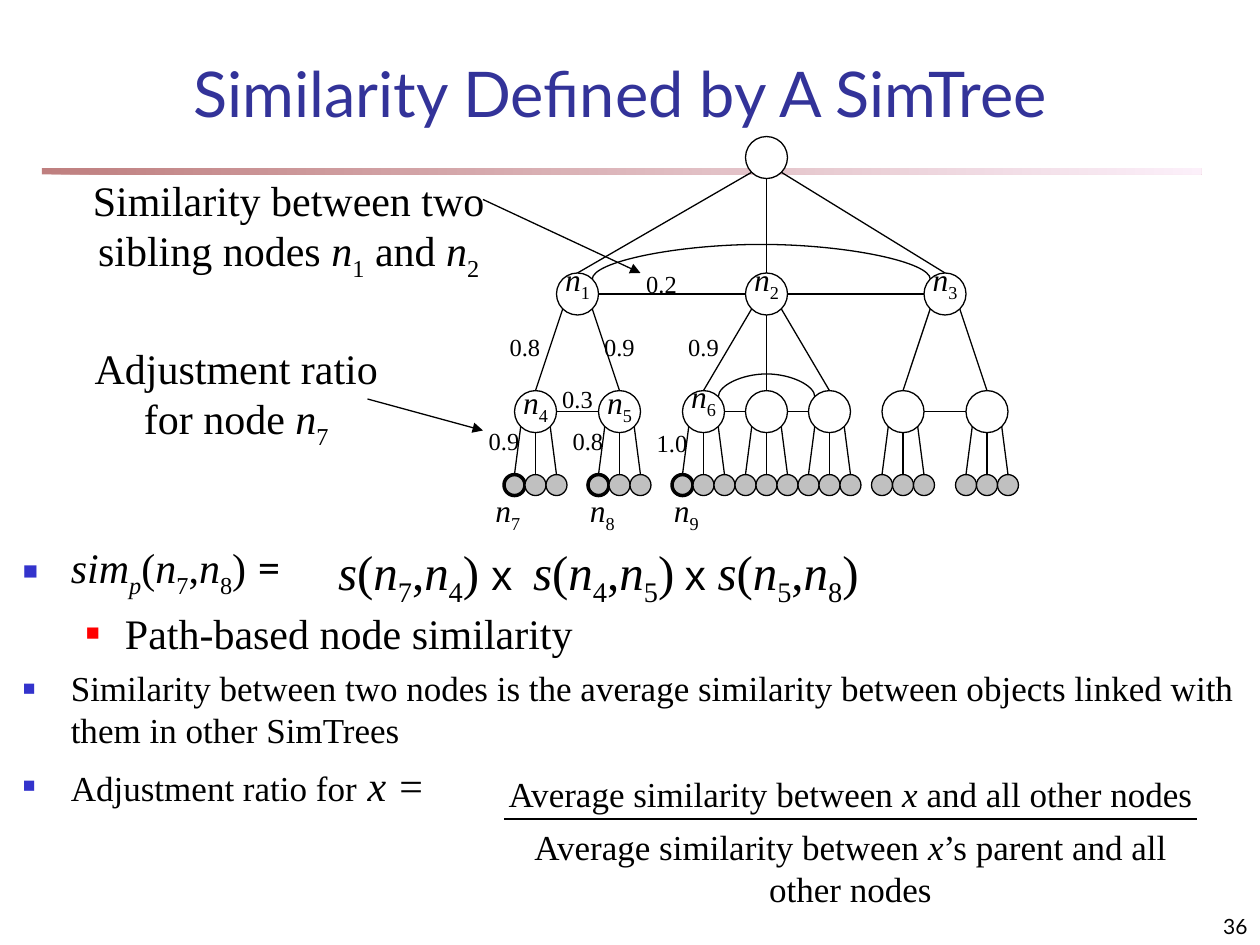
from lxml import etree
from pptx import Presentation, util as u
from pptx.dml.color import RGBColor
from pptx.enum import shapes, text
from pptx.oxml import ns

SERIF, SANS = "Times New Roman", "Lato"
LEFT, CENTER, RIGHT = text.PP_ALIGN.LEFT, text.PP_ALIGN.CENTER, text.PP_ALIGN.RIGHT
TOP, BOTTOM = text.MSO_ANCHOR.TOP, text.MSO_ANCHOR.BOTTOM

deck = Presentation()
deck.slide_width, deck.slide_height = u.Inches(10), u.Inches(7.5)
slide = deck.slides.add_slide(deck.slide_layouts[6])
# The slide is a grid of 120 columns by 90 rows with square cells
CELL = deck.slide_width / 120


def paint(fill, color):
    fill.solid()
    fill.fore_color.rgb = RGBColor.from_string(color)


def write(paragraph, markup, size=20, font=SERIF, color="000000", align=LEFT,
          alt=(SANS, 24)):
    """Markup: / toggles italic, _ toggles subscript, ~ toggles the alt font."""
    paragraph.alignment = align
    on, piece = {"/": False, "_": False, "~": False}, ""
    for char in markup + "/":
        if char not in on:
            piece += char
            continue
        if piece:
            run = paragraph.add_run()
            run.text = piece
            run.font.name, points = alt if on["~"] else (font, size)
            run.font.size = u.Pt(points)
            run.font.italic = on["/"]
            paint(run.font.fill, color)
            if on["_"]:
                run._r.get_or_add_rPr().set("baseline", "-25000")
        on[char], piece = not on[char], ""


# Gradient rule under the title
rule = slide.shapes.add_shape(shapes.MSO_SHAPE.RECTANGLE,
                              *[int(v * CELL) for v in (4, 16, 110.4, 0.6)])
rule.shadow.inherit = False
rule.line.fill.background()
rule.fill.gradient()
rule.fill.gradient_angle = 0
for stop, position, color in zip(rule.fill.gradient_stops, (0, 1), ("800000", "FAE2F6")):
    stop.position = position
    stop.color.rgb = RGBColor.from_string(color)
for rgb in rule._element.spPr.iter(ns.qn("a:srgbClr")):
    etree.SubElement(rgb, ns.qn("a:alpha"), val="50000")

# Tree: centre column of each node, its label, and the columns of its children
ROOT, MIDDLE, LOWER, LEAF = 15, 28, 39.2, 46.2  # centre rows
middle_nodes = {55: "/n/_1_", 73: "/n/_2_", 90: "/n/_3_"}
lower_nodes = {51: "/n/_4_", 59: "/n/_5_", 67: "/n/_6_", 73: "", 79: "", 86: "", 94: ""}
families = {55: (51, 59), 73: (67, 73, 79), 90: (86, 94)}
R, LEAF_R, DIAGONAL = 2, 1, 1.4

nodes = [(73, ROOT, R, "", 0.05)]
nodes += [(x, MIDDLE, R, label, 0.05) for x, label in middle_nodes.items()]
nodes += [(x, LOWER, R, label, 0 if x < 60 else 0.05) for x, label in lower_nodes.items()]
nodes += [(x + dx, LEAF, LEAF_R, "", 0.05) for x in lower_nodes for dx in (-2, 0, 2)]
bold_leaves = (49, 57, 65)

# Edges from every parent to its children
branches = [(73, ROOT, x, MIDDLE - R) for x in middle_nodes]
branches += [(x, MIDDLE, child, LOWER - R) for x in families for child in families[x]]
branches += [(x, LOWER, x + dx, LEAF - LEAF_R) for x in lower_nodes for dx in (-2, 0, 2)]
lines = []
for x, y, child_x, child_y in branches:
    side = (child_x > x) - (child_x < x)
    lines.append((x + side * DIAGONAL, y + (DIAGONAL if side else R), child_x, child_y, False))

# Links between neighbouring siblings
for row, siblings in [(MIDDLE, tuple(middle_nodes))] + [(LOWER, f) for f in families.values()]:
    lines += [(a + R, row, b - R, row, False) for a, b in zip(siblings, siblings[1:])]

lines += [(46, 19, 61, 26, True), (35, 38, 46, 41, True)]  # callout arrows
lines += [(48, 78, 114, 78, False)]  # fraction bar

# Arcs between outer siblings: a thin curved connector turned a quarter
THIN = 0.02
arcs = {}
for left, right, row, depth in [(55, 90, MIDDLE, 3.5), (67, 79, LOWER, 2.3)]:
    middle, half = (left + right) / 2, (right - left) / 2 - DIAGONAL
    y = row - DIAGONAL
    arc = (middle, y - half, middle + THIN, y + half, False)
    arcs[arc] = depth

for line in lines + list(arcs):
    kind = shapes.MSO_CONNECTOR.CURVE if line in arcs else shapes.MSO_CONNECTOR.STRAIGHT
    connector = slide.shapes.add_connector(kind, *[round(v * CELL) for v in line[:4]])
    paint(connector.line.fill, "000000")
    connector.line.width = u.Pt(0.75)
    properties = connector._element.spPr
    if line[4]:
        etree.SubElement(connector.line._get_or_add_ln(), ns.qn("a:tailEnd"), type="triangle")
    if line in arcs:
        frame = properties.find(ns.qn("a:xfrm"))
        frame.set("rot", "5400000")
        frame.set("flipV", "1")
        guides = properties.find(ns.qn("a:prstGeom")).find(ns.qn("a:avLst"))
        etree.SubElement(guides, ns.qn("a:gd"), name="adj1",
                         fmla=f"val {round(-arcs[line] / THIN * 100000)}")
    etree.SubElement(properties, ns.qn("a:effectLst"))

# Nodes
for x, y, radius, label, inset in nodes:
    node = slide.shapes.add_shape(shapes.MSO_SHAPE.OVAL, *[
        round(v * CELL) for v in (x - radius, y - radius, 2 * radius, 2 * radius)])
    node.shadow.inherit = False
    paint(node.fill, "C0C0C0" if y == LEAF else "FFFFFF")
    paint(node.line.fill, "000000")
    node.line.width = u.Pt(2 if y == LEAF and x in bold_leaves else 0.75)
    if label:
        frame = node.text_frame
        frame.word_wrap = False
        frame.vertical_anchor = BOTTOM
        frame.margin_top = frame.margin_bottom = u.Inches(inset)
        write(frame.paragraphs[0], label, size=18, align=CENTER)

# Text boxes: column, row, width, height, text, anchor, format
boxes = [
    (8, 5, 102.2, 8, "Similarity Defined by A SimTree", BOTTOM,
     dict(size=36, font=SANS, color="333399", align=CENTER)),
    (95, 85, 25, 5, "36", BOTTOM, dict(size=12, font=SANS, align=RIGHT)),
    (7, 16, 41, 10.8, "Similarity between two sibling nodes /n/_1_ and /n/_2_", TOP,
     dict(size=24, align=CENTER)),
    (7, 32, 31, 10.8, "Adjustment ratio for node /n/_7_", TOP, dict(size=24, align=CENTER)),
    (47, 73, 68, 5.2, "Average similarity between /x/ and all other nodes", TOP,
     dict(align=CENTER)),
    (47, 78, 68, 9.2, "Average similarity between /x/’s parent and all other nodes", TOP,
     dict(align=CENTER)),
]
# Path formula
for column, width, formula in [(30, 21, "/s/(/n/_7_,/n/_4_) ~x~"),
                               (48, 19, "/s/(/n/_4_,/n/_5_)"),
                               (64, 19, "~x ~/s/(/n/_5_,/n/_8_)")]:
    boxes.append((column, 51, width, 6.8, formula, TOP,
                  dict(size=28, align=CENTER, alt=("Arial", 24))))
# Edge weights
for column, row, weight in [(47, 31, "0.8"), (56, 31, "0.9"), (64, 31, "0.9"),
                            (60, 25, "0.2"), (52, 36, "0.3"), (45, 40, "0.9"),
                            (53, 40, "0.8"), (61, 40.2, "1.0")]:
    boxes.append((column, row, 6, 4, weight, TOP, dict(size=14, align=CENTER)))
# Leaf labels
for column, label in [(46, "/n/_7_"), (55, "/n/_8_"), (63, "/n/_9_")]:
    boxes.append((column, 46.2, 5, 4.8, label, TOP, dict(size=18)))

for *place, words, anchor, style in boxes:
    frame = slide.shapes.add_textbox(*[round(v * CELL) for v in place]).text_frame
    frame.word_wrap = True
    frame.vertical_anchor = anchor
    write(frame.paragraphs[0], words, **style)

# Bulleted body
points = [
    (0, 24, "/sim_p_/(/n/_7_,/n/_8_)~ =~", SANS),
    (1, 24, "Path-based node similarity", SANS),
    (0, 20, "Similarity between two nodes is the average similarity between objects "
            "linked with them in other SimTrees", SANS),
    (0, 20, "Adjustment ratio for~ /x =/~", SERIF),
]
levels = [(0.38, -0.38, "3333CC", 60), (0.81, -0.31, "FF0000", 55)]
body = slide.shapes.add_textbox(*[round(v * CELL) for v in (1, 51, 118, 37)]).text_frame
body.word_wrap = True
for index, (level, size, words, alt_font) in enumerate(points):
    paragraph = body.add_paragraph() if index else body.paragraphs[0]
    if index:
        paragraph.space_before = u.Pt(5)
    margin, indent, color, percent = levels[level]
    settings = paragraph._p.get_or_add_pPr()
    settings.set("marL", str(u.Inches(margin)))
    settings.set("indent", str(u.Inches(indent)))
    bullet_color = etree.SubElement(settings, ns.qn("a:buClr"))
    etree.SubElement(bullet_color, ns.qn("a:srgbClr"), val=color)
    etree.SubElement(settings, ns.qn("a:buSzPct"), val=str(percent * 1000))
    etree.SubElement(settings, ns.qn("a:buFont"), typeface="Arial")
    etree.SubElement(settings, ns.qn("a:buChar"), char="■")
    write(paragraph, words, size=size, alt=(alt_font, 24))

deck.save("out.pptx")
